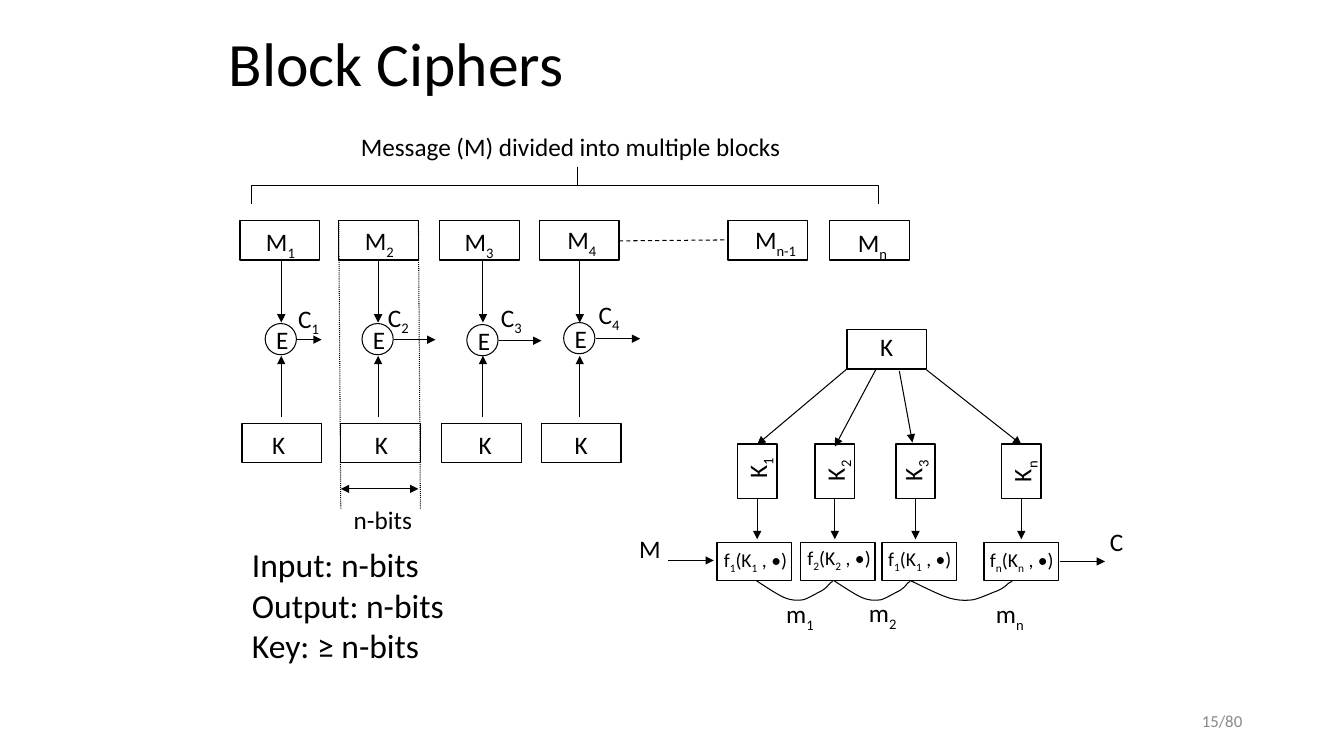
"""Build the Block Ciphers slide with its two encryption diagrams."""
from typing import NamedTuple, Optional

from lxml.etree import SubElement
from pptx import Presentation
from pptx.dml.color import RGBColor
from pptx.enum.dml import MSO_LINE
from pptx.enum.shapes import MSO_CONNECTOR, MSO_SHAPE
from pptx.enum.text import MSO_ANCHOR, PP_ALIGN
from pptx.oxml.ns import qn
from pptx.shapes.autoshape import Shape
from pptx.slide import Slide
from pptx.util import Inches, Pt

COLORS = {"ink": "000000", "page_number": "888888"}
FONT = "Calibri"
BOX_WIDTH, BOX_HEIGHT = 0.79, 0.39
CIRCLE_SIZE = 0.31
LABEL_HEIGHT = 0.4
ARC_OUTLINE = [
    (0, 0), (0.14, 0.35), (0.28, 0.7), (0.37, 0.85), (0.47, 1), (0.54, 1),
    (0.62, 0.95), (0.7, 0.85), (0.8, 0.6), (0.86, 0.5), (0.92, 0.35),
    (0.94, 0.25), (0.96, 0.15), (0.97, 0.1), (0.99, 0.05), (1, 0.05),
]


class Label(NamedTuple):
    text: str
    left: float
    top: float
    width: float = 0.5
    height: float = LABEL_HEIGHT
    size: float = 18
    rotation: float = 0


class Line(NamedTuple):
    start: tuple[float, float]
    end: tuple[float, float]
    head: bool = False
    tail: bool = True
    dash: Optional[MSO_LINE] = None


class Block(NamedTuple):
    left: float
    label: Label


class Lane(NamedTuple):
    axis: float
    circle_top: float
    key_left: float
    key_label_left: float
    output_end: float
    output_label: Label


class RoundKey(NamedTuple):
    axis: float
    key_source: tuple[float, float]
    key_target: tuple[float, float]
    key_label: Label
    function_left: float
    function_label: Label


class Arc(NamedTuple):
    left: float
    width: float
    label: Label


BLOCKS = [
    Block(2.38, Label("M|1", 2.54, 2.2)),
    Block(3.36, Label("M|2", 3.52, 2.19)),
    Block(4.36, Label("M|3", 4.51, 2.2)),
    Block(5.35, Label("M|4", 5.53, 2.18)),
    Block(7.22, Label("M|n-1", 7.39, 2.18, 0.64)),
    Block(8.23, Label("M|n", 8.41, 2.21)),
]
LANES = [
    Lane(2.79, 3.21, 2.4, 2.6, 3.19, Label("C|1", 2.86, 2.96)),
    Lane(3.75, 3.21, 3.38, 3.62, 4.32, Label("C|2", 3.75, 2.95)),
    Lane(4.79, 3.22, 4.38, 4.65, 5.37, Label("C|3", 4.87, 2.95)),
    Lane(5.75, 3.2, 5.37, 5.6, 6.35, Label("C|4", 5.84, 2.92)),
]
ROUND_KEYS = [
    RoundKey(7.51, (8.4, 3.66), (7.51, 4.41), Label("K|1", 7.26, 4.4, rotation=270),
             7.11, Label("f|1|(K|1| , •)", 7.08, 5.39, 0.89, 0.54, 14)),
    RoundKey(8.28, (8.69, 3.66), (8.28, 4.43), Label("K|2", 8.03, 4.42, rotation=270),
             7.94, Label("f|2|(K|2| , •)", 7.91, 5.37, 0.89, 0.54, 14)),
    RoundKey(9.08, (8.92, 3.68), (9.05, 4.39), Label("K|3", 8.8, 4.42, rotation=270),
             8.75, Label("f|1|(K|1| , •)", 8.71, 5.38, 0.89, 0.54, 14)),
    RoundKey(10.13, (9.19, 3.67), (10.13, 4.41), Label("K|n", 9.88, 4.43, rotation=270),
             9.76, Label("f|n|(K|n| , •)", 9.72, 5.39, 0.89, 0.54, 14)),
]
ARCS = [
    Arc(7.5, 0.76, Label("m|1", 7.7, 5.89)),
    Arc(8.27, 0.76, Label("m|2", 8.52, 5.88)),
    Arc(9.03, 1.01, Label("m|n", 9.78, 5.89)),
]
SINGLE_LABELS = [
    Label("Message (M) divided into multiple blocks", 3.48, 1.25, 4.47),
    Label("n-bits", 3.41, 4.95, 0.79),
    Label("Input: n-bits Output: n-bits\nKey: ≥ n-bits", 2.4, 5.35, 2.49, 1.31, 24),
    Label("K", 8.63, 3.24, 0.33),
    Label("M", 6.24, 5.24, 0.42),
    Label("C", 10.91, 5.17, 0.34),
]
SINGLE_LINES = [
    Line((6.14, 2.39), (7.22, 2.38), tail=False, dash=MSO_LINE.DASH),
    Line((3.36, 2.21), (3.38, 5.05), tail=False, dash=MSO_LINE.ROUND_DOT),
    Line((4.15, 2.21), (4.17, 5.05), tail=False, dash=MSO_LINE.ROUND_DOT),
    Line((3.38, 4.85), (4.15, 4.85), head=True),
    Line((6.63, 5.56), (7.08, 5.56)),
    Line((10.51, 5.57), (10.96, 5.57)),
]


def draw_label(page: Slide, label: Label, color: str = "ink") -> Shape:
    box = page.shapes.add_textbox(*map(Inches, label[1:5]))
    box.rotation = label.rotation
    frame = box.text_frame
    frame.word_wrap = True
    for row, text in enumerate(label.text.split("\n")):
        para = frame.paragraphs[0] if row == 0 else frame.add_paragraph()
        for index, piece in enumerate(text.split("|")):
            span = para.add_run()
            span.text = piece
            span.font.name = FONT
            span.font.size = Pt(label.size)
            span.font.color.rgb = RGBColor.from_string(COLORS[color])
            if index % 2:
                span.font._element.set("baseline", "-25000")
    return box


def outline(shape: Shape, weight: float) -> None:
    shape.shadow.inherit = False
    shape.fill.background()
    shape.line.color.rgb = RGBColor.from_string(COLORS["ink"])
    shape.line.width = Pt(weight)


def draw_shape(page: Slide, kind: MSO_SHAPE, left: float, top: float,
               width: float = BOX_WIDTH, height: float = BOX_HEIGHT, weight: float = 1) -> Shape:
    shape = page.shapes.add_shape(kind, *map(Inches, (left, top, width, height)))
    outline(shape, weight)
    return shape


def draw_line(page: Slide, line: Line) -> None:
    connector = page.shapes.add_connector(
        MSO_CONNECTOR.STRAIGHT, *map(Inches, (*line.start, *line.end)))
    connector.line.color.rgb = RGBColor.from_string(COLORS["ink"])
    connector.line.width = Pt(0.75)
    if line.dash is not None:
        connector.line.dash_style = line.dash
    stroke = connector.line._get_or_add_ln()
    for wanted, tag in ((line.head, "a:headEnd"), (line.tail, "a:tailEnd")):
        if wanted:
            SubElement(stroke, qn(tag), type="triangle")
    SubElement(connector._element.spPr, qn("a:effectLst"))


def draw_arc(page: Slide, arc: Arc) -> None:
    points = [(Inches(arc.left + x * arc.width), Inches(5.76 + y * 0.2)) for x, y in ARC_OUTLINE]
    builder = page.shapes.build_freeform(*points[0])
    builder.add_line_segments(points[1:], close=False)
    shape = builder.convert_to_shape()
    outline(shape, 0.75)
    segments = list(shape._element.iter(qn("a:lnTo")))
    for first in range(0, len(segments), 3):
        curve = SubElement(segments[first].getparent(), qn("a:cubicBezTo"))
        for segment in segments[first:first + 3]:
            curve.append(segment[0])
            segment.getparent().remove(segment)
    draw_label(page, arc.label)


def draw_lane(page: Slide, lane: Lane) -> None:
    middle = lane.circle_top + 0.16
    draw_shape(page, MSO_SHAPE.RECTANGLE, lane.key_left, 4.2)
    draw_shape(page, MSO_SHAPE.OVAL, lane.axis - 0.16, lane.circle_top,
               CIRCLE_SIZE, CIRCLE_SIZE, 0.75)
    draw_label(page, Label("K", lane.key_label_left, 4.21, 0.33))
    draw_label(page, Label("E", lane.axis - 0.15, lane.circle_top - 0.04, 0.32))
    draw_label(page, lane.output_label)
    draw_line(page, Line((lane.axis, 2.58), (lane.axis, 3.2)))
    draw_line(page, Line((lane.axis, 3.53), (lane.axis, 4.14), head=True, tail=False))
    draw_line(page, Line((lane.axis + 0.16, middle), (lane.output_end, middle)))


def draw_round_key(page: Slide, item: RoundKey) -> None:
    key_box = draw_shape(page, MSO_SHAPE.RECTANGLE, item.axis - 0.27, 4.48, 0.54)
    key_box.rotation = 270
    draw_label(page, item.key_label)
    draw_line(page, Line(item.key_source, item.key_target))
    draw_line(page, Line((item.axis, 4.95), (item.axis, 5.35)))
    draw_shape(page, MSO_SHAPE.RECTANGLE, item.function_left, 5.38, 0.74, 0.38)
    draw_label(page, item.function_label)


def main() -> None:
    deck = Presentation()
    deck.slide_width, deck.slide_height = Inches(13.33), Inches(7.5)
    page = deck.slides.add_slide(deck.slide_layouts[6])
    title = draw_label(page, Label("Block Ciphers", 2.17, 0.21, 9.25, 0.9, 44))
    title.text_frame.vertical_anchor = MSO_ANCHOR.MIDDLE
    title.text_frame.paragraphs[0].line_spacing = 0.9
    number = draw_label(page, Label("15/80", 9.42, 6.95, 3, size=12), "page_number")
    number.text_frame.vertical_anchor = MSO_ANCHOR.MIDDLE
    number.text_frame.paragraphs[0].alignment = PP_ALIGN.RIGHT
    brace = draw_shape(page, MSO_SHAPE.LEFT_BRACE, 5.42, -1.27, 0.36, 6.22, 0.75)
    brace.rotation = 90
    brace.adjustments[0], brace.adjustments[1] = 0, 0.48
    for block in BLOCKS:
        draw_shape(page, MSO_SHAPE.RECTANGLE, block.left, 2.19)
        draw_label(page, block.label)
    draw_shape(page, MSO_SHAPE.RECTANGLE, 8.4, 3.27)
    for draw, items in ((draw_lane, LANES), (draw_round_key, ROUND_KEYS), (draw_arc, ARCS),
                        (draw_label, SINGLE_LABELS), (draw_line, SINGLE_LINES)):
        for item in items:
            draw(page, item)
    deck.save("out.pptx")


if __name__ == "__main__":
    main()
